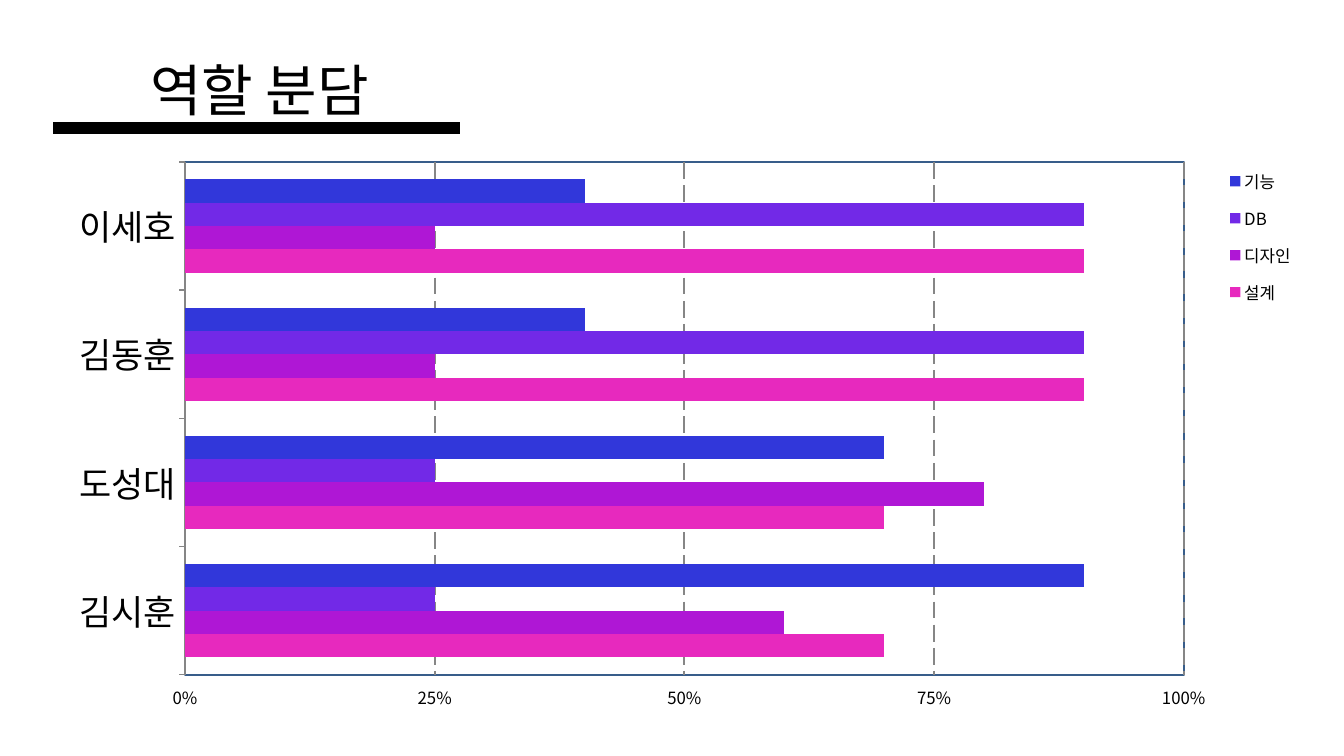
from pptx import Presentation
from pptx.chart.data import CategoryChartData
from pptx.dml.color import RGBColor
from pptx.enum.chart import XL_CHART_TYPE, XL_LEGEND_POSITION, XL_TICK_LABEL_POSITION, XL_TICK_MARK
from pptx.enum.dml import MSO_LINE
from pptx.enum.shapes import MSO_CONNECTOR
from pptx.enum.text import MSO_ANCHOR, PP_ALIGN
from pptx.oxml import parse_xml
from pptx.oxml.ns import nsdecls, qn
from pptx.util import Inches, Pt

BAR_CLUSTERED = XL_CHART_TYPE.BAR_CLUSTERED
LEGEND_RIGHT = XL_LEGEND_POSITION.RIGHT
LABELS_LOW = XL_TICK_LABEL_POSITION.LOW
TICK_NONE, TICK_OUT = XL_TICK_MARK.NONE, XL_TICK_MARK.OUTSIDE
LONG_DASH = MSO_LINE.LONG_DASH
STRAIGHT = MSO_CONNECTOR.STRAIGHT
MIDDLE, LEFT = MSO_ANCHOR.MIDDLE, PP_ALIGN.LEFT

FONT = "Noto Sans CJK KR"
BLACK = RGBColor(0x00, 0x00, 0x00)
GRID_GRAY = RGBColor(0x86, 0x86, 0x86)
FRAME_BLUE = RGBColor(0x38, 0x5D, 0x8A)

MEMBERS = ["김시훈", "도성대", "김동훈", "이세호"]
ROLES = [
    ("설계", (0.7, 0.7, 0.9, 0.9), RGBColor(0xE7, 0x29, 0xBE)),
    ("디자인", (0.6, 0.8, 0.25, 0.25), RGBColor(0xAF, 0x17, 0xD5)),
    ("DB", (0.25, 0.25, 0.9, 0.9), RGBColor(0x72, 0x29, 0xE7)),
    ("기능", (0.9, 0.7, 0.4, 0.4), RGBColor(0x31, 0x37, 0xDA)),
]


def style_font(font, size):
    font.name, font.size, font.bold = FONT, Pt(size), False
    font.color.rgb = BLACK


def use_font_for_korean(element):
    """Repeat each Latin typeface as the East Asian one."""
    for latin in list(element.iter(qn("a:latin"))):
        latin.addnext(parse_xml(f'<a:ea {nsdecls("a")} typeface="{FONT}"/>'))


def add_title(s, text):
    sp = s.shapes.title
    sp.left, sp.top, sp.width, sp.height = Inches(1.39), Inches(0.5), Inches(2.4), Inches(0.76)
    tf = sp.text_frame
    tf.text = text
    tf.word_wrap = False
    tf.vertical_anchor = MIDDLE
    p = tf.paragraphs[0]
    p.alignment = LEFT
    style_font(p.runs[0].font, 40)
    use_font_for_korean(sp.element)


def add_underline(s):
    line = s.shapes.add_connector(STRAIGHT, Inches(0.53), Inches(1.27), Inches(4.56), Inches(1.27))
    line.line.color.rgb = BLACK
    line.line.width = Pt(8.5)
    line.element.spPr.append(parse_xml(f'<a:effectLst {nsdecls("a")}/>'))


def set_layout(parent, index, x, y, w, h, inner=False):
    """Place a chart part by fractions of the chart's size."""
    for old in parent.findall(qn("c:layout")):
        parent.remove(old)
    target = '<c:layoutTarget val="inner"/>' if inner else ""
    parent.insert(index, parse_xml(
        f'<c:layout {nsdecls("c")}><c:manualLayout>{target}'
        '<c:xMode val="edge"/><c:yMode val="edge"/>'
        f'<c:x val="{x}"/><c:y val="{y}"/><c:w val="{w}"/><c:h val="{h}"/>'
        '</c:manualLayout></c:layout>'))


def frame_plot(plot_area):
    plot_area.append(parse_xml(
        f'<c:spPr {nsdecls("c", "a")}><a:noFill/><a:ln w="{Pt(1.5)}">'
        f'<a:solidFill><a:srgbClr val="{FRAME_BLUE}"/></a:solidFill></a:ln></c:spPr>'))


def style_line(line, width):
    line.color.rgb = GRID_GRAY
    line.width = Pt(width)


def style_axes(chart):
    names = chart.category_axis
    names.major_tick_mark = TICK_OUT
    style_font(names.tick_labels.font, 25)
    style_line(names.format.line, 1)

    share = chart.value_axis
    share.minimum_scale, share.maximum_scale, share.major_unit = 0, 1, 0.25
    share.major_tick_mark = TICK_NONE
    share.tick_label_position = LABELS_LOW
    share.tick_labels.number_format = "0%"
    share.tick_labels.number_format_is_linked = False
    style_font(share.tick_labels.font, 12)
    share.format.line.fill.background()
    share.has_major_gridlines = True
    grid = share.major_gridlines.format.line
    style_line(grid, 1.5)
    grid.dash_style = LONG_DASH


def add_role_chart(s):
    data = CategoryChartData(number_format="0%")
    data.categories = MEMBERS
    for name, values, _ in ROLES:
        data.add_series(name, values)
    chart = s.shapes.add_chart(BAR_CLUSTERED, Inches(0.54), Inches(1.5),
                               Inches(12.46), Inches(5.66), data).chart
    chart.has_title = False
    style_font(chart.font, 12)
    style_axes(chart)

    plot = chart.plots[0]
    plot.gap_width, plot.overlap, plot.vary_by_categories = 150, 0, False
    for series, (_, _, color) in zip(plot.series, ROLES):
        series.format.fill.solid()
        series.format.fill.fore_color.rgb = color

    chart.has_legend = True
    legend = chart.legend
    legend.position = LEGEND_RIGHT
    legend.include_in_layout = False
    style_font(legend.font, 12)

    plot_area = chart.element.find(".//" + qn("c:plotArea"))
    set_layout(plot_area, 0, 0.104, 0.019, 0.795, 0.899, inner=True)
    frame_plot(plot_area)
    set_layout(chart.element.find(".//" + qn("c:legend")), 1, 0.92, 0.01, 0.08, 0.28)
    use_font_for_korean(chart.element)


def main():
    prs = Presentation()
    prs.slide_width, prs.slide_height = Inches(13.33), Inches(7.5)
    s = prs.slides.add_slide(prs.slide_layouts[5])
    add_title(s, "역할 분담")
    add_underline(s)
    add_role_chart(s)
    prs.save("out.pptx")


if __name__ == "__main__":
    main()
